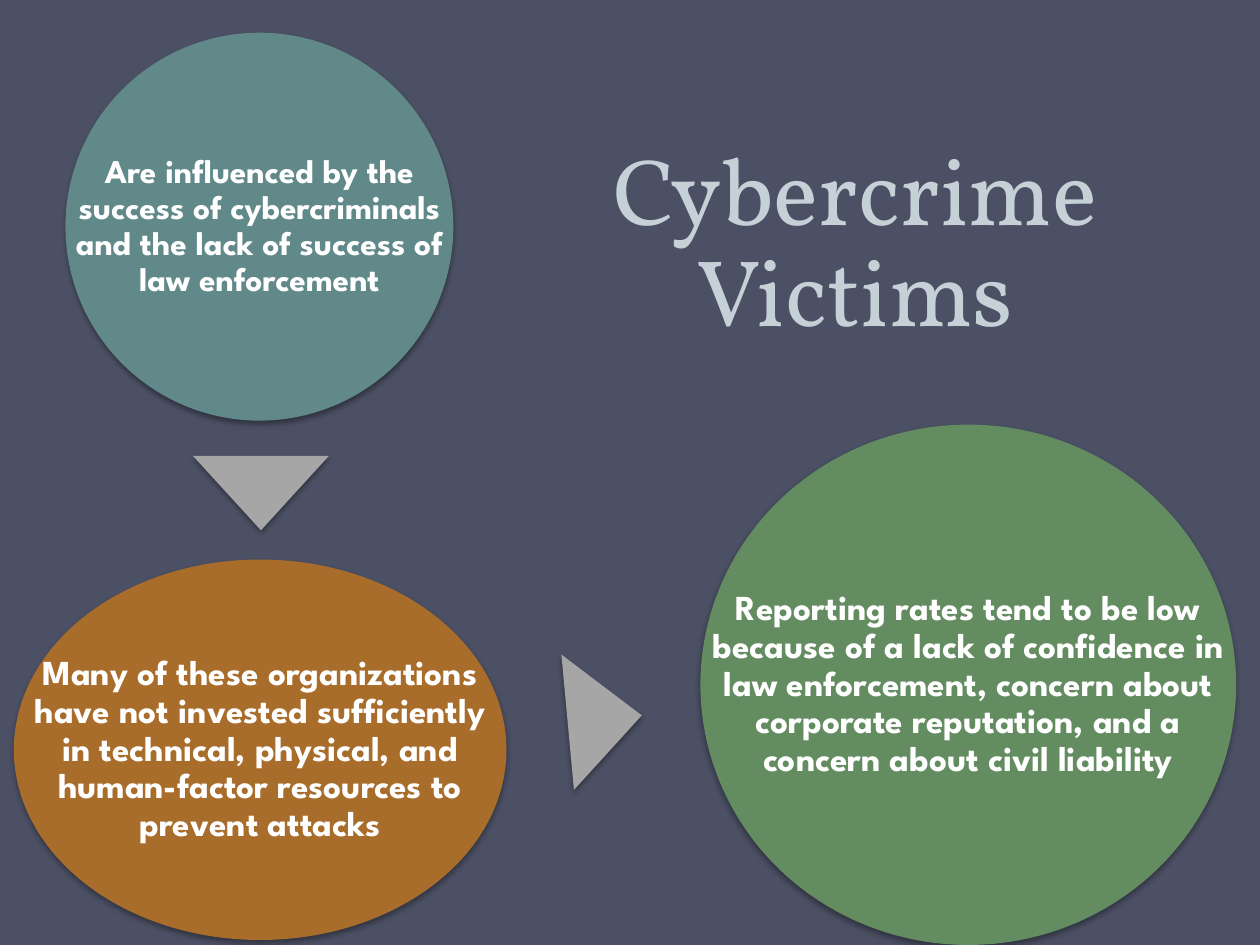
from lxml.etree import SubElement
from pptx import Presentation
from pptx.dml.color import RGBColor
from pptx.enum.shapes import MSO_SHAPE as Shape
from pptx.enum.text import MSO_ANCHOR as Anchor, PP_ALIGN as Align
from pptx.oxml.ns import qn
from pptx.util import Cm, Pt

SLATE = RGBColor(0x4B, 0x50, 0x64)
MIST = RGBColor(0xC5, 0xD1, 0xD7)
WHITE = RGBColor(0xFF, 0xFF, 0xFF)
GREY = RGBColor(0xA6, 0xA6, 0xA6)
TEAL = RGBColor(0x61, 0x89, 0x8A)
OCHRE = RGBColor(0xA9, 0x6D, 0x2B)
GREEN = RGBColor(0x64, 0x8C, 0x61)

TITLE_FONT = {"name": "Vollkorn", "size": Pt(54)}
STAGE_FONT = {"name": "League Spartan", "bold": True}
SHADOW = {"blurRad": Pt(3.1), "dist": Pt(1.8), "dir": 90 * 60000, "rotWithShape": 0}
ARROW_SIZE = (2.74, 1.5)


class SlideBuilder:
    def __init__(self, presentation):
        self.slide = presentation.slides.add_slide(presentation.slide_layouts[6])
        background = self.slide.background.fill
        background.solid()
        background.fore_color.rgb = SLATE

    def text(self, box, words, font, color, anchor, spacing, inset):
        frame = self.slide.shapes.add_textbox(*map(Cm, box)).text_frame
        margins = {f"margin_{side}": inset for side in ("left", "top", "right", "bottom")}
        for name, value in {"word_wrap": True, "vertical_anchor": anchor, **margins}.items():
            setattr(frame, name, value)
        paragraph = frame.paragraphs[0]
        paragraph.alignment = Align.CENTER
        paragraph.line_spacing = spacing
        run = paragraph.add_run()
        run.text = words
        for name, value in font.items():
            setattr(run.font, name, value)
        run.font.color.rgb = color

    def shape(self, preset, box, color, rotation=0):
        figure = self.slide.shapes.add_shape(preset, *map(Cm, box))
        figure.rotation = rotation
        figure.fill.solid()
        figure.fill.fore_color.rgb = color
        figure.line.fill.background()
        figure.shadow.inherit = False
        effects = figure._element.spPr.find(qn("a:effectLst"))
        shadow = SubElement(effects, qn("a:outerShdw"))
        for name, value in SHADOW.items():
            shadow.set(name, str(value))
        black = SubElement(shadow, qn("a:srgbClr"), val="000000")
        SubElement(black, qn("a:alpha"), val="35000")

    def title(self, box, words):
        self.text(box, words, TITLE_FONT, MIST, Anchor.BOTTOM, Pt(58), Cm(0.2))

    def stage(self, box, color, words, size):
        self.shape(Shape.OVAL, box, color)
        font = {**STAGE_FONT, "size": Pt(size)}
        self.text(box, words, font, WHITE, Anchor.MIDDLE, 0.9, Cm(0.08))

    def arrow(self, left, top, rotation):
        self.shape(Shape.ISOSCELES_TRIANGLE, (left, top, *ARROW_SIZE), GREY, rotation)


def main():
    presentation = Presentation()
    presentation.slide_width = Cm(25.4)
    presentation.slide_height = Cm(19.05)
    victims = SlideBuilder(presentation)
    victims.title((9.5, 2.72, 15.47, 4.45), "Cybercrime Victims")
    victims.stage(
        (1.32, 0.66, 7.82, 7.82), TEAL,
        "Are influenced by the success of cybercriminals and the lack of success "
        "of law enforcement", 19)
    victims.arrow(3.89, 9.19, 180)
    victims.stage(
        (0.28, 11.28, 9.93, 7.67), OCHRE,
        "Many of these organizations have not invested sufficiently in technical, "
        "physical, and human-factor resources to prevent attacks", 20)
    victims.arrow(10.82, 13.74, 84.7)
    victims.stage(
        (14.12, 8.56, 10.8, 10.49), GREEN,
        "Reporting rates tend to be low because of a lack of confidence in law "
        "enforcement, concern about corporate reputation, and a concern about "
        "civil liability", 20)
    presentation.save("out.pptx")


if __name__ == "__main__":
    main()
